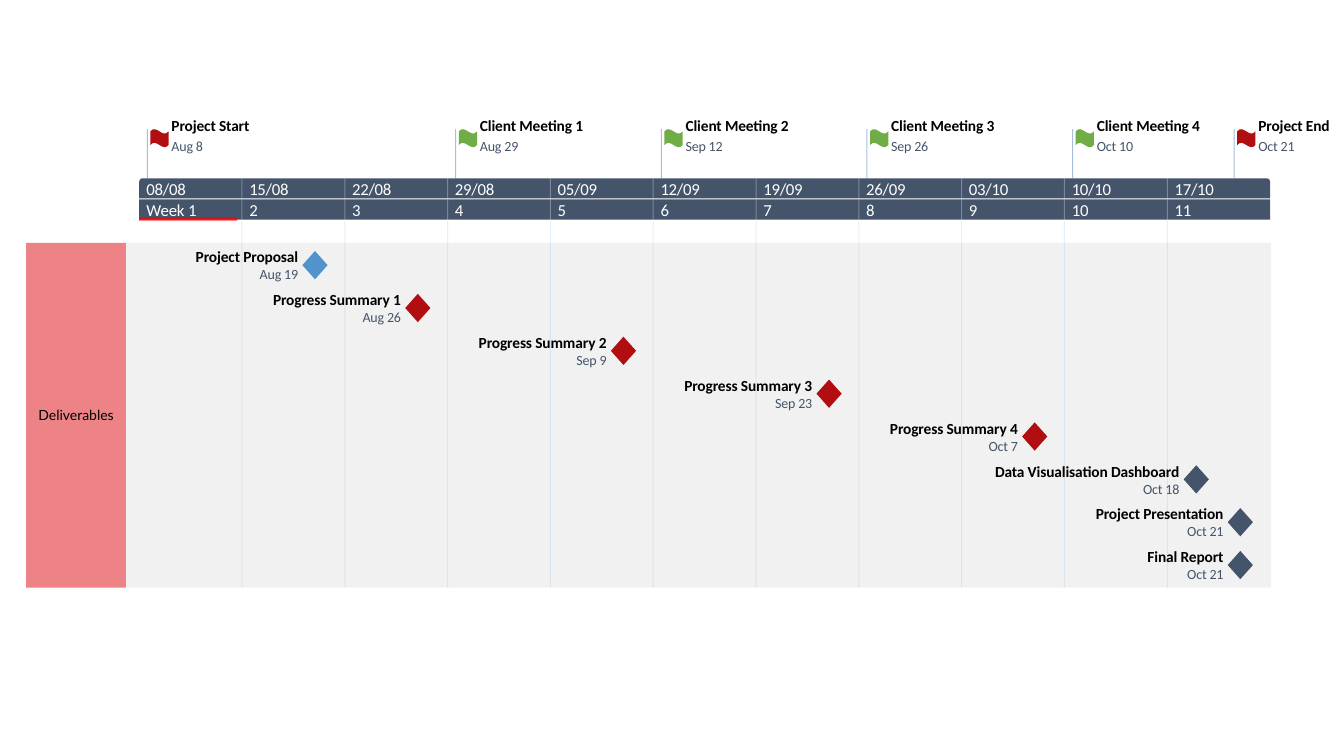
"""Builds a one-slide project timeline with client milestones and deliverables."""
import pptx
import pptx.dml.color
import pptx.enum.shapes
import pptx.enum.text
import pptx.oxml
import pptx.oxml.ns
import pptx.util

Pt = pptx.util.Pt
SHAPE = pptx.enum.shapes.MSO_SHAPE
ALIGN = pptx.enum.text.PP_ALIGN

COLORS = {
    "slate": "44546A", "white": "FFFFFF", "black": "000000", "gray": "A5A5A5",
    "lane": "EA161E", "progress": "FF0000", "red": "B20E12", "green": "70AD47",
    "blue": "5293CD", "guide": "5B9BD5", "pole": "4F81BD",
}
MONTH_OFFSET = {"Aug": -8, "Sep": 23, "Oct": 53}
WEEK = 73.44
WEEK_STARTS = ["08/08", "15/08", "22/08", "29/08", "05/09", "12/09",
               "19/09", "26/09", "03/10", "10/10", "17/10"]
MILESTONES = [
    ("Project Start", "Aug 8", "red", 64),
    ("Client Meeting 1", "Aug 29", "green", 84),
    ("Client Meeting 2", "Sep 12", "green", 84),
    ("Client Meeting 3", "Sep 26", "green", 84),
    ("Client Meeting 4", "Oct 10", "green", 84),
    ("Project End", "Oct 21", "red", 60),
]
DELIVERABLES = [
    ("Project Proposal", "Aug 19", "blue", 82),
    ("Progress Summary 1", "Aug 26", "red", 101),
    ("Progress Summary 2", "Sep 9", "red", 101),
    ("Progress Summary 3", "Sep 23", "red", 101),
    ("Progress Summary 4", "Oct 7", "red", 101),
    ("Data Visualisation Dashboard", "Oct 18", "slate", 144),
    ("Project Presentation", "Oct 21", "slate", 102),
    ("Final Report", "Oct 21", "slate", 64),
]


def date_x(date):
    """Return the distance of a date from the first day, in points."""
    month, day = date.split()
    return (MONTH_OFFSET[month] + int(day)) * WEEK / 7


def paint(fill, color, alpha):
    """Give a fill a solid colour and an opacity in percent."""
    fill.solid()
    fill.fore_color.rgb = pptx.dml.color.RGBColor.from_string(COLORS[color])
    if alpha < 100:
        clr = fill._xPr.find(".//" + pptx.oxml.ns.qn("a:srgbClr"))
        clr.append(pptx.oxml.parse_xml(
            f'<a:alpha {pptx.oxml.ns.nsdecls("a")} val="{alpha * 1000}"/>'))


def add_block(slide, kind, x, y, w, h, color, alpha=100):
    """Add a borderless preset shape."""
    s = slide.shapes.add_shape(kind, Pt(x), Pt(y), Pt(w), Pt(h))
    s.shadow.inherit = False
    s.line.fill.background()
    paint(s.fill, color, alpha)
    return s


def add_vertical(slide, x, top, bottom, color, alpha):
    """Add a thin vertical line."""
    s = slide.shapes.add_connector(
        pptx.enum.shapes.MSO_CONNECTOR.STRAIGHT, Pt(x), Pt(top), Pt(x), Pt(bottom))
    s.line.width = Pt(0.75)
    paint(s.line.fill, color, alpha)
    s._element.spPr.append(pptx.oxml.parse_xml(
        f'<a:effectLst {pptx.oxml.ns.nsdecls("a")}/>'))


def write(s, text, size=12, color="white", font="Calibri", bold=False,
          align=ALIGN.LEFT, spacing=0):
    """Write one formatted line into a shape without margins."""
    tf = s.text_frame
    tf.word_wrap = True
    tf.margin_left = tf.margin_right = tf.margin_top = tf.margin_bottom = 0
    tf.vertical_anchor = pptx.enum.text.MSO_ANCHOR.MIDDLE
    p = tf.paragraphs[0]
    p.alignment = align
    r = p.add_run()
    r.text = text
    r.font.name, r.font.size, r.font.bold = font, Pt(size), bold
    r.font.color.rgb = pptx.dml.color.RGBColor.from_string(COLORS[color])
    if spacing:
        r._r.get_or_add_rPr().set("spc", str(round(spacing * 100)))


def add_label(slide, x, y, w, h, text, **fmt):
    """Add a text box holding one line."""
    write(slide.shapes.add_textbox(Pt(x), Pt(y), Pt(w), Pt(h)), text, **fmt)


def add_caption(slide, x, y, w, name, date, date_dy, align=ALIGN.LEFT):
    """Add a bold name with its date below, x being the aligned edge."""
    shift = 1 if align == ALIGN.RIGHT else 0
    date_w = 36
    add_label(slide, x - shift * w, y, w, 13.7, name, size=11, color="black",
              bold=True, align=align, spacing=-0.1)
    add_label(slide, x - shift * date_w, y + date_dy, date_w, 12.2, date, size=10,
              color="slate", align=align, spacing=-0.1)


def add_milestones(slide, x, y, h):
    """Plant a flag with its caption for each milestone."""
    for name, date, color, w in MILESTONES:
        left = x + date_x(date)
        add_vertical(slide, left, y, y + h, "pole", 50)
        add_block(slide, SHAPE.WAVE, left + 2.2, y, 13, 13, color)
        add_caption(slide, left + 17.3, y - 9.4, w, name, date, 15.1)


def add_week_band(slide, x, y, w):
    """Draw the two-row band of week dates and week numbers."""
    row_h, pitch, label_w = 14.4, 15.1, 46
    numbers = ["Week 1"] + [str(n + 1) for n in range(1, len(WEEK_STARTS))]
    rows = [(SHAPE.ROUND_2_SAME_RECTANGLE, WEEK_STARTS, -0.2),
            (SHAPE.RECTANGLE, numbers, -0.1)]
    for i, (kind, texts, spacing) in enumerate(rows):
        top = y + i * pitch
        add_block(slide, kind, x, top, w, row_h, "slate")
        for week, text in enumerate(texts):
            left = x + week * WEEK
            add_label(slide, left + 5.2, top, label_w, row_h, text, spacing=spacing)
            if week:
                add_vertical(slide, left, top, top + row_h, "white", 30)
    add_block(slide, SHAPE.RECTANGLE, x, y + 28.1, 70, 2.2, "progress", 75)


def add_deliverables(slide, x, y, w, h, band_x):
    """Draw the swimlane with its guides, diamonds and captions."""
    add_block(slide, SHAPE.RECTANGLE, x, y, w, h, "gray", 15)
    lane = add_block(slide, SHAPE.RECTANGLE, x, y, 71.3, h, "lane", 50)
    write(lane, "Deliverables", size=10, color="black", font="Lato",
          align=ALIGN.CENTER)
    for week in range(1, len(WEEK_STARTS)):
        add_vertical(slide, band_x + week * WEEK, y - 15.8, y + h, "guide", 15)
    for i, (name, date, color, text_w) in enumerate(DELIVERABLES):
        left, top = band_x + 1.2 + date_x(date), y + i * 30.6
        add_block(slide, SHAPE.DIAMOND, left, top + 5.8, 18, 20.2, color)
        add_caption(slide, left - 3, top + 3, text_w, name, date, 13.4, ALIGN.RIGHT)


def main():
    """Build and save the timeline slide."""
    prs = pptx.Presentation()
    prs.slide_width, prs.slide_height = Pt(960), Pt(540)
    slide = prs.slides.add_slide(prs.slide_layouts[6])
    band_x, band_y = 99.4, 127.4
    add_deliverables(slide, 18.7, 173.5, 889.2, 246.2, band_x)
    add_milestones(slide, band_x + 5.8, 92.2, 35.2)
    add_week_band(slide, band_x, band_y, 807.8)
    prs.save("out.pptx")


main()
